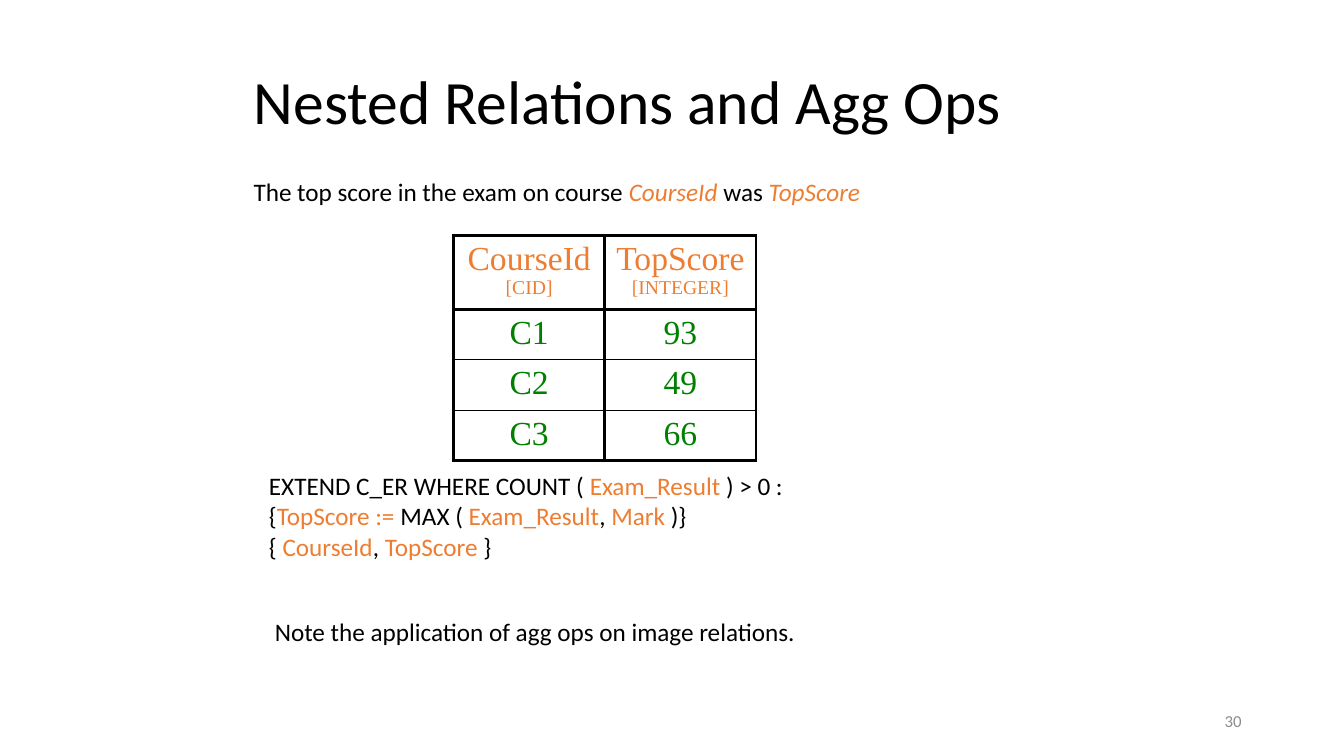
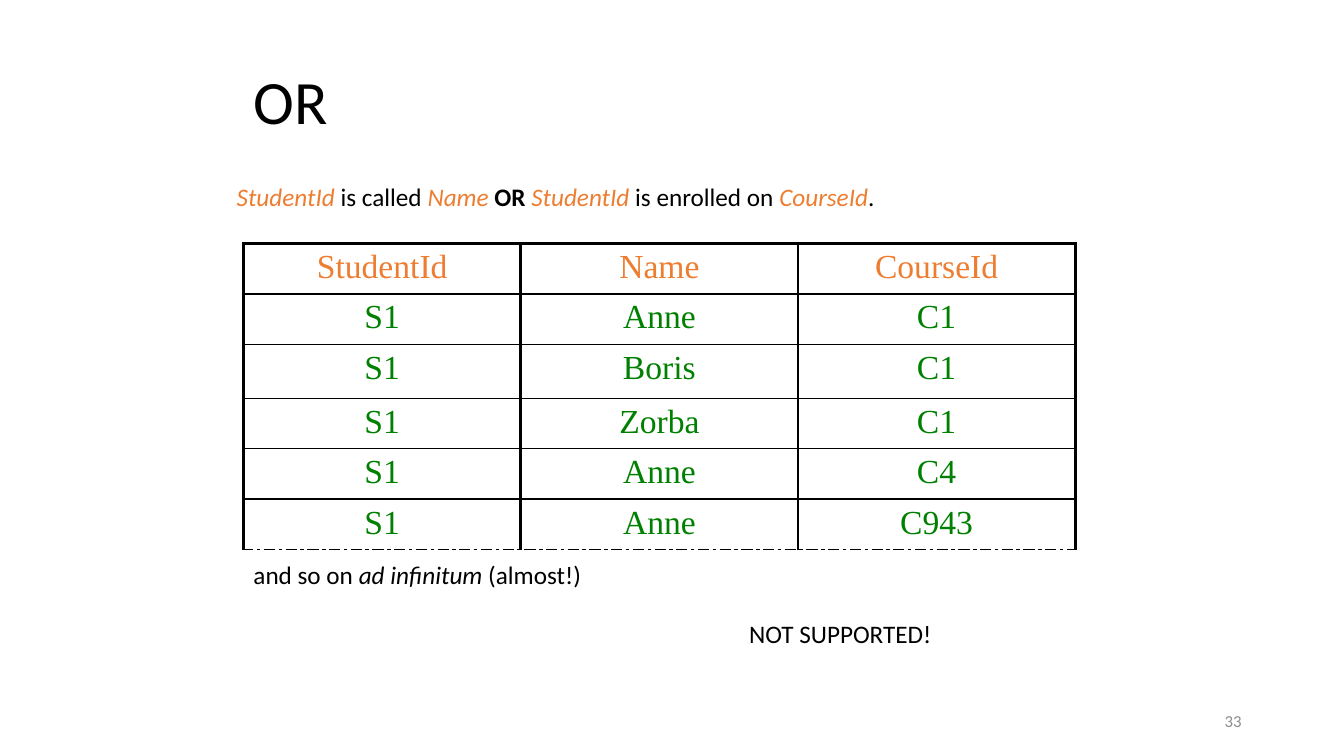
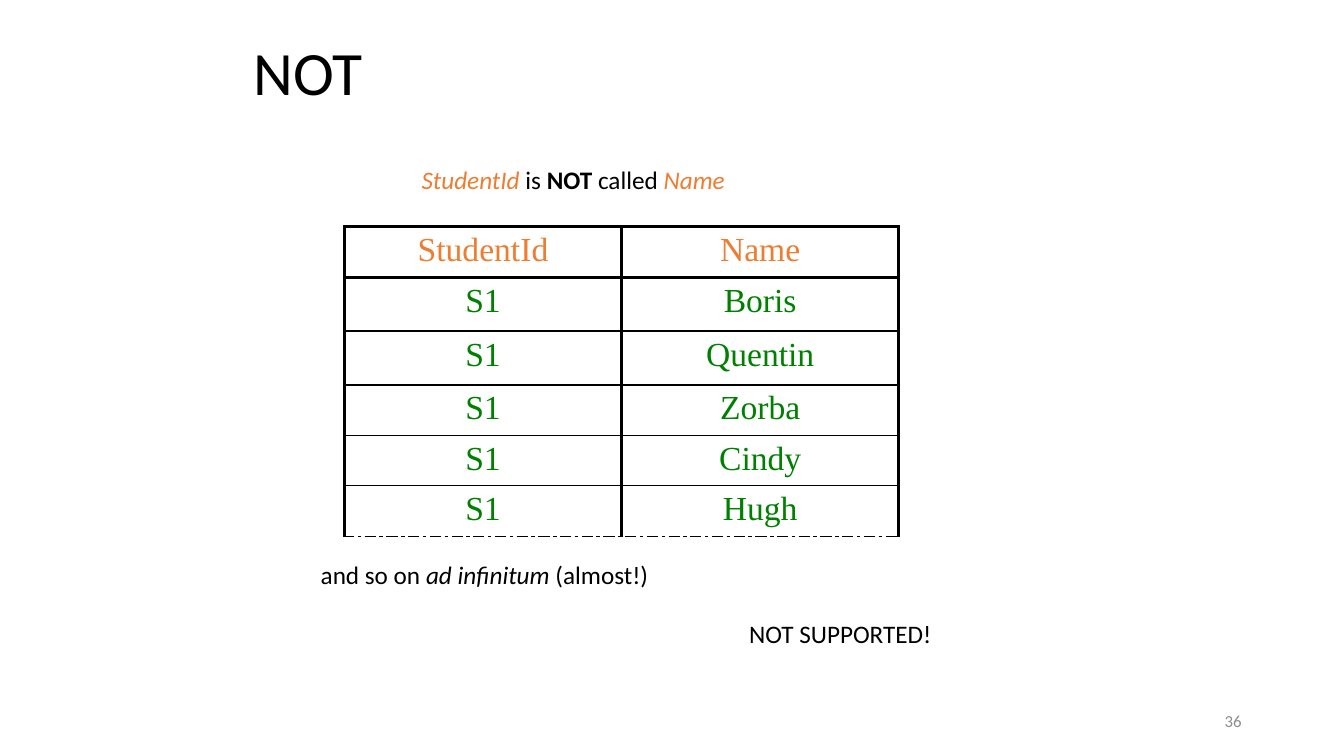
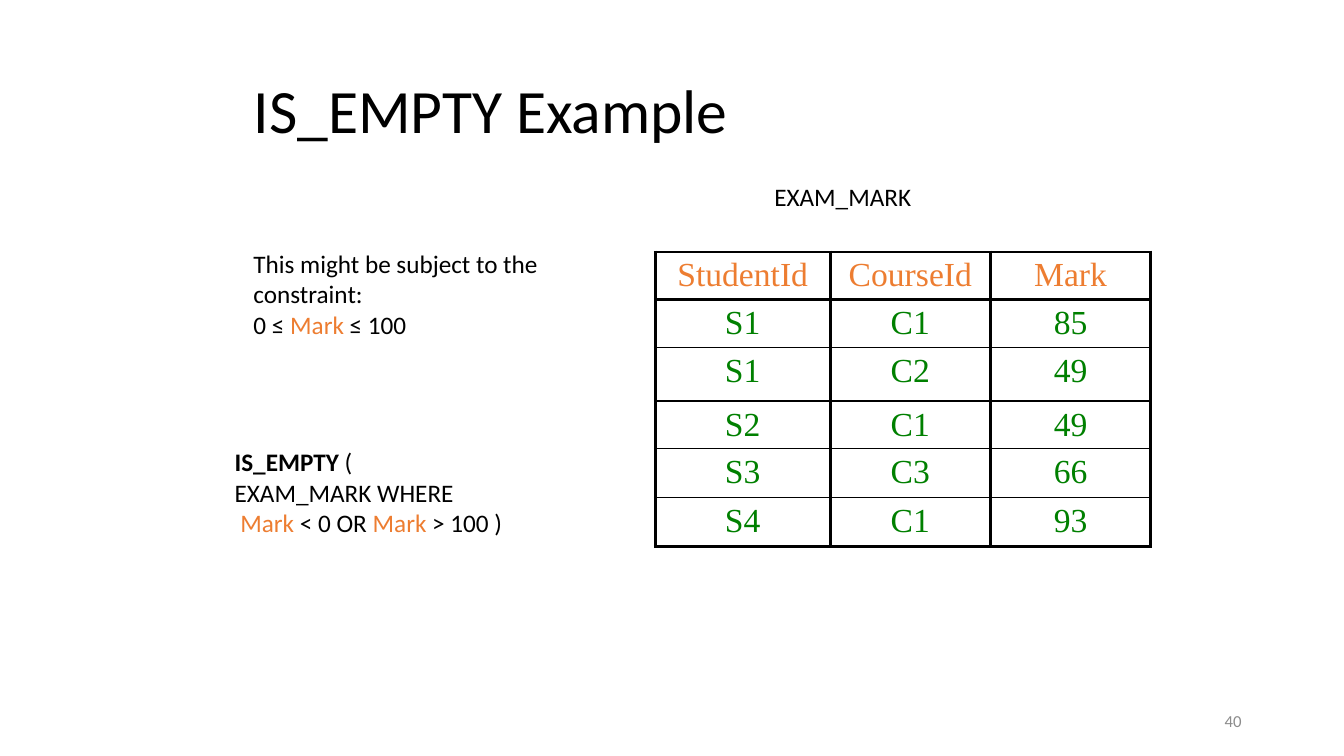
from lxml.etree import SubElement
from pptx import Presentation
from pptx.dml.color import RGBColor
from pptx.enum.text import MSO_ANCHOR, MSO_AUTO_SIZE, PP_ALIGN
from pptx.oxml.ns import qn
from pptx.util import Pt

HUES = {"text": "000000", "name": "ED7D31", "value": "008000", "page": "8C8C8C"}
SANS, SERIF = "Calibri", "Times New Roman"
THICK, THIN = 2.25, 1


def write(frame, lines, size=18, font=SANS, hue="text",
          align=PP_ALIGN.LEFT, anchor=MSO_ANCHOR.TOP, space=1.0):
    """Each line is a list of plain strings and (string, marks) pairs.
    Marks: n = name colour, i = italic, b = bold, s = small."""
    frame.word_wrap = True
    frame.auto_size = MSO_AUTO_SIZE.NONE
    frame.vertical_anchor = anchor
    for i, line in enumerate(lines):
        par = frame.add_paragraph() if i else frame.paragraphs[0]
        par.alignment = align
        par.line_spacing = space
        for part in line:
            words, marks = (part, "") if isinstance(part, str) else part
            run = par.add_run()
            run.text = words
            run.font.name = font
            run.font.size = Pt(14 if "s" in marks else size)
            run.font.bold = "b" in marks
            run.font.italic = "i" in marks
            tone = "name" if "n" in marks else hue
            run.font.color.rgb = RGBColor.from_string(HUES[tone])


def edge(cell, sides):
    """Draw cell borders; sides is a list of (tag, width, dash) in L, R, T, B order."""
    props = cell._tc.get_or_add_tcPr()
    for i, (tag, width, dash) in enumerate(sides):
        line = SubElement(props, qn("a:" + tag), w=str(Pt(width)))
        fill = SubElement(line, qn("a:solidFill"))
        SubElement(fill, qn("a:srgbClr"), val=HUES["text"])
        SubElement(line, qn("a:prstDash"), val=dash)
        props.insert(i, line)


class Deck:
    def __init__(self):
        self.file = Presentation()
        self.file.slide_width, self.file.slide_height = Pt(960), Pt(540)
        self.slide = None

    def start(self, title, page, top=36, high=78):
        """Add a slide with its title and page number."""
        self.slide = self.file.slides.add_slide(self.file.slide_layouts[5])
        head = self.slide.shapes.title
        head.left, head.top, head.width, head.height = map(Pt, (174, top, 612, high))
        write(head.text_frame, [[title]], size=44, anchor=MSO_ANCHOR.MIDDLE, space=0.9)
        self.text([[str(page)]], 678, 500.5, 216, 28.75, size=12, hue="page",
                  align=PP_ALIGN.RIGHT, anchor=MSO_ANCHOR.MIDDLE)

    def text(self, lines, left, top, width, high=29, **form):
        box = self.slide.shapes.add_textbox(*map(Pt, (left, top, width, high)))
        write(box.text_frame, lines, **form)

    def table(self, data, left, top, cols, rows, dots=False):
        """Heading row in the name colour, values below; dots leaves the end open."""
        spot = map(Pt, (left, top, sum(cols), sum(rows)))
        grid = self.slide.shapes.add_table(len(rows), len(cols), *spot).table
        grid.first_row = grid.horz_banding = False
        for col, width in zip(grid.columns, cols):
            col.width = Pt(width)
        last = len(rows) - 1
        for r, (row, high) in enumerate(zip(data, rows)):
            grid.rows[r].height = Pt(high)
            above = THICK if r < 2 else THIN
            below = THICK if r == 0 or (r == last and not dots) else THIN
            dash = "dashDot" if dots and r == last else "solid"
            for c, item in enumerate(row):
                cell = grid.cell(r, c)
                cell.fill.background()
                lines = [[item]] if isinstance(item, str) else item
                write(cell.text_frame, lines, size=24, font=SERIF,
                      hue="value" if r else "name", align=PP_ALIGN.CENTER)
                edge(cell, [("lnL", THICK, "solid"), ("lnR", THICK, "solid"),
                            ("lnT", above, "solid"), ("lnB", below, dash)])

    def close(self, left):
        """Closing remarks under an endless table."""
        self.text([["and so on ", ("ad infinitum", "i"), " (almost!)"]], left, 396, 260)
        self.text([["NOT SUPPORTED!"]], 528, 438, 160)


def main():
    deck = Deck()
    sid, name, cid = ("StudentId", "ni"), ("Name", "ni"), ("CourseId", "ni")
    mark, exam = ("Mark", "n"), ("Exam_Result", "n")

    # Nested relations
    deck.start("Nested Relations and Agg Ops", 30)
    deck.text([["The top score in the exam on course ", cid, " was ",
                ("TopScore", "ni")]], 174, 122.5, 470)
    deck.table([
        [[["CourseId"], [("[CID]", "s")]], [["TopScore"], [("[INTEGER]", "s")]]],
        ["C1", "93"], ["C2", "49"], ["C3", "66"],
    ], 324, 168, [108] * 2, [53] + [36] * 3)
    deck.text([
        ["EXTEND C_ER WHERE COUNT ( ", exam, " ) > 0 :"],
        ["{", ("TopScore := ", "n"), "MAX ( ", exam, ", ", mark, " )}"],
        ["{ ", ("CourseId", "n"), ", ", ("TopScore", "n"), " }"],
    ], 185, 332.5, 400, 73)
    deck.text([["Note the application of agg ops on image relations."]],
              189.25, 436.5, 410)

    # OR
    deck.start("OR", 33)
    deck.text([[sid, " is called ", ("Name ", "ni"), ("OR ", "b"), sid,
                " is enrolled on ", cid, "."]], 162, 126, 490)
    deck.table([
        ["StudentId", "Name", "CourseId"],
        ["S1", "Anne", "C1"],
        ["S1", "Boris", "C1"],
        ["S1", "Zorba", "C1"],
        ["S1", "Anne", "C4"],
        ["S1", "Anne", "C943"],
    ], 174, 174, [198] * 3, [36, 36, 38.5, 36, 36, 36], dots=True)
    deck.close(174)

    # NOT
    deck.start("NOT", 36, top=18, high=72)
    deck.text([[sid, " is ", ("NOT", "b"), " called ", name]], 294, 114, 250)
    people = ["Boris", "Quentin", "Zorba", "Cindy", "Hugh"]
    deck.table([["StudentId", "Name"]] + [["S1", who] for who in people],
               246, 162, [198] * 2, [36, 38.5, 38.5, 36, 36, 36], dots=True)
    deck.close(222)

    # IS_EMPTY
    deck.start("IS_EMPTY Example", 40, top=48, high=66)
    deck.table([
        ["StudentId", "CourseId", "Mark"],
        ["S1", "C1", "85"],
        ["S1", "C2", "49"],
        ["S2", "C1", "49"],
        ["S3", "C3", "66"],
        ["S4", "C1", "93"],
    ], 468, 180, [125, 114.5, 114.5], [34, 34, 38.5, 33.5, 35, 35])
    deck.text([["EXAM_MARK"]], 546, 126, 130)
    deck.text([["This might be subject to the constraint:"],
               ["0 ≤ ", mark, " ≤ 100"]], 174, 174, 246, 73)
    deck.text([[("IS_EMPTY", "b"), " ("], ["EXAM_MARK WHERE"],
               [" ", mark, " < 0 OR ", mark, " > 100 )"]], 160.5, 315.5, 220, 73)

    deck.file.save("out.pptx")


if __name__ == "__main__":
    main()
